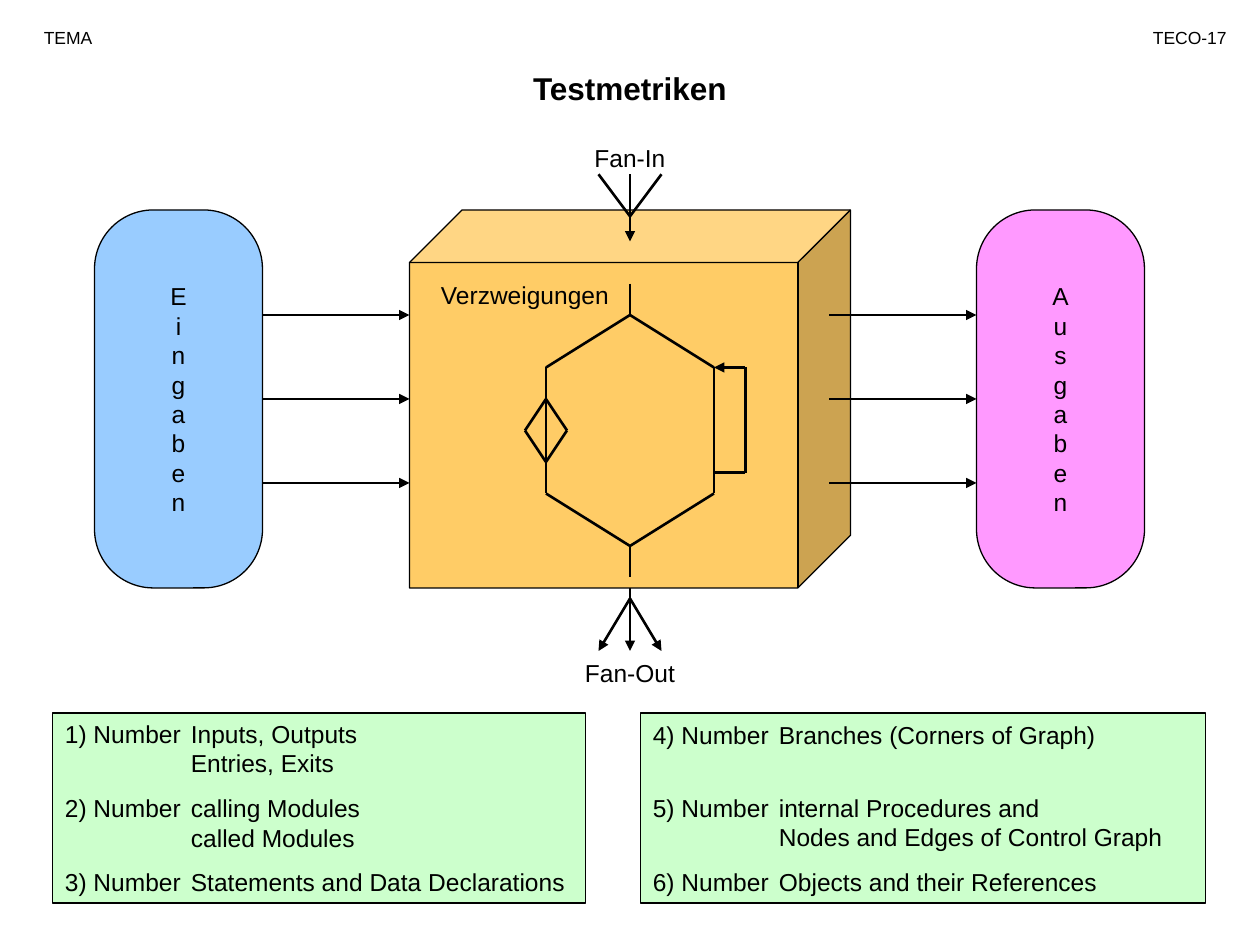
from itertools import pairwise

from lxml.etree import SubElement
from pptx import Presentation
from pptx.dml.color import RGBColor
from pptx.enum.shapes import MSO_CONNECTOR, MSO_SHAPE
from pptx.enum.text import MSO_ANCHOR, MSO_AUTO_SIZE, PP_ALIGN
from pptx.oxml.ns import qn
from pptx.util import Emu, Pt

PX = 914400 // 120
COLORS = {
    "ink": "000000",
    "module": "FFCC66",
    "input": "99CCFF",
    "output": "FF99FF",
    "metrics": "CCFFCC",
}


def px(*lengths):
    """Turn lengths in px into EMU."""
    return [Emu(length * PX) for length in lengths]


def color(name):
    """Return the named colour."""
    return RGBColor.from_string(COLORS[name])


def write(shape, texts, size=14, align=PP_ALIGN.CENTER, bold=False,
          anchor=MSO_ANCHOR.MIDDLE, wrap=True):
    """Fill a shape with one paragraph per text and return the paragraphs."""
    frame = shape.text_frame
    frame.auto_size = MSO_AUTO_SIZE.NONE
    frame.word_wrap = wrap
    frame.vertical_anchor = anchor
    frame.margin_left, frame.margin_right, frame.margin_top, frame.margin_bottom = px(12, 12, 6, 6)
    frame.text = "\n".join(texts)
    for paragraph in frame.paragraphs:
        paragraph.alignment = align
        paragraph.font.name = "Arial"
        paragraph.font.size = Pt(size)
        paragraph.font.bold = bold
        paragraph.font.color.rgb = color("ink")
    return frame.paragraphs


def add_label(slide, box, text, **style):
    """Add a one-line text box."""
    write(slide.shapes.add_textbox(*px(*box)), [text], **style)


def add_block(slide, kind, box, fill):
    """Add a filled shape with a thin outline."""
    shape = slide.shapes.add_shape(kind, *px(*box))
    shape.shadow.inherit = False
    shape.fill.solid()
    shape.fill.fore_color.rgb = color(fill)
    shape.line.color.rgb = color("ink")
    shape.line.width = Pt(0.75)
    return shape


def add_lines(slide, origin, points, arrow=False):
    """Join points relative to the origin, with an optional arrowhead at the end."""
    left, top = origin
    corners = [(left + x, top + y) for x, y in points]
    for start, end in pairwise(corners):
        line = slide.shapes.add_connector(MSO_CONNECTOR.STRAIGHT, *px(*start, *end))
        line.line.color.rgb = color("ink")
        line.line.width = Pt(1.5)
        if arrow and end == corners[-1]:
            SubElement(line.line._get_or_add_ln(), qn("a:tailEnd"), type="triangle")
        SubElement(line._element.spPr, qn("a:effectLst"))


def add_header(slide):
    """Place the title and the two corner labels."""
    title = slide.shapes.title
    title.left, title.top, title.width, title.height = px(110, 60, 980, 48)
    write(title, ["Testmetriken"], size=18, bold=True, anchor=MSO_ANCHOR.TOP)
    add_label(slide, (30, 20, 110, 32), "TEMA", size=10,
              align=PP_ALIGN.LEFT, anchor=MSO_ANCHOR.TOP)
    add_label(slide, (1050, 20, 130, 32), "TECO-17", size=10,
              align=PP_ALIGN.RIGHT, anchor=MSO_ANCHOR.TOP)


def add_control_graph(slide, origin):
    """Draw the control graph with its entry, branches, loop and exit."""
    for side in (-80, 80):
        add_lines(slide, origin, [(0, 30), (side, 80), (side, 200), (0, 250)])
    for side in (-20, 20):
        add_lines(slide, origin, [(-80, 110), (-80 + side, 140), (-80, 170)])
    add_lines(slide, origin, [(0, 0), (0, 30)])
    add_lines(slide, origin, [(0, 250), (0, 280)])
    add_lines(slide, origin, [(80, 180), (110, 180), (110, 80), (80, 80)], arrow=True)


def add_module(slide, box):
    """Draw the module cube with its graph, fan-in and fan-out."""
    left, top, width, height = box
    center, bottom = left + width // 2, top + height
    cube = add_block(slide, MSO_SHAPE.CUBE, box, "module")
    cube.adjustments[0] = 0.139
    add_control_graph(slide, (center, top + 70))
    add_lines(slide, (center, top), [(0, -34), (0, 30)], arrow=True)
    add_lines(slide, (center, bottom), [(0, 0), (0, 60)], arrow=True)
    for side in (-30, 30):
        add_lines(slide, (center, top), [(side, -34), (0, 6)])
        add_lines(slide, (center, bottom), [(0, 10), (side, 60)], arrow=True)
    add_label(slide, (left - 10, top + 60, 240, 41), "Verzweigungen")
    add_label(slide, (center - 120, top - 70, 240, 41), "Fan-In")
    add_label(slide, (center - 120, bottom + 60, 240, 41), "Fan-Out")


def add_port(slide, box, word, fill, arrow_left):
    """Draw an upright labelled port and its three arrows."""
    shape = add_block(slide, MSO_SHAPE.ROUNDED_RECTANGLE, box, fill)
    shape.adjustments[0] = 0.35
    write(shape, word, wrap=False)
    for y in (100, 180, 260):
        add_lines(slide, (arrow_left, box[1] + y), [(0, 0), (140, 0)], arrow=True)


def add_metrics(slide, box, first, entries):
    """List numbered metrics, keeping room for two lines in each entry."""
    texts = [f"{number}) Number\t" + "\v\t".join(lines)
             for number, lines in enumerate(entries, first)]
    shape = add_block(slide, MSO_SHAPE.RECTANGLE, box, "metrics")
    paragraphs = write(shape, texts, align=PP_ALIGN.LEFT)
    for paragraph, previous in zip(paragraphs[1:], entries):
        paragraph.space_before = Pt(8.8 if len(previous) == 2 else 25)
    for paragraph in paragraphs:
        tabs = SubElement(paragraph._p.get_or_add_pPr(), qn("a:tabLst"))
        SubElement(tabs, qn("a:tab"), pos=str(120 * PX), algn="l")
        tabs.getparent().find(qn("a:defRPr")).addprevious(tabs)


def main():
    """Build and save the slide."""
    presentation = Presentation()
    presentation.slide_width, presentation.slide_height = px(1200, 900)
    slide = presentation.slides.add_slide(presentation.slide_layouts[5])
    add_header(slide)
    add_module(slide, (390, 200, 420, 360))
    add_port(slide, (90, 200, 160, 360), "Eingaben", "input", 250)
    add_port(slide, (930, 200, 160, 360), "Ausgaben", "output", 790)
    add_metrics(slide, (50, 679, 508, 181), 1, [
        ["Inputs, Outputs", "Entries, Exits"],
        ["calling Modules", "called Modules"],
        ["Statements and Data Declarations"],
    ])
    add_metrics(slide, (610, 679, 538, 181), 4, [
        ["Branches (Corners of Graph)"],
        ["internal Procedures and", "Nodes and Edges of Control Graph"],
        ["Objects and their References"],
    ])
    presentation.save("out.pptx")


if __name__ == "__main__":
    main()
